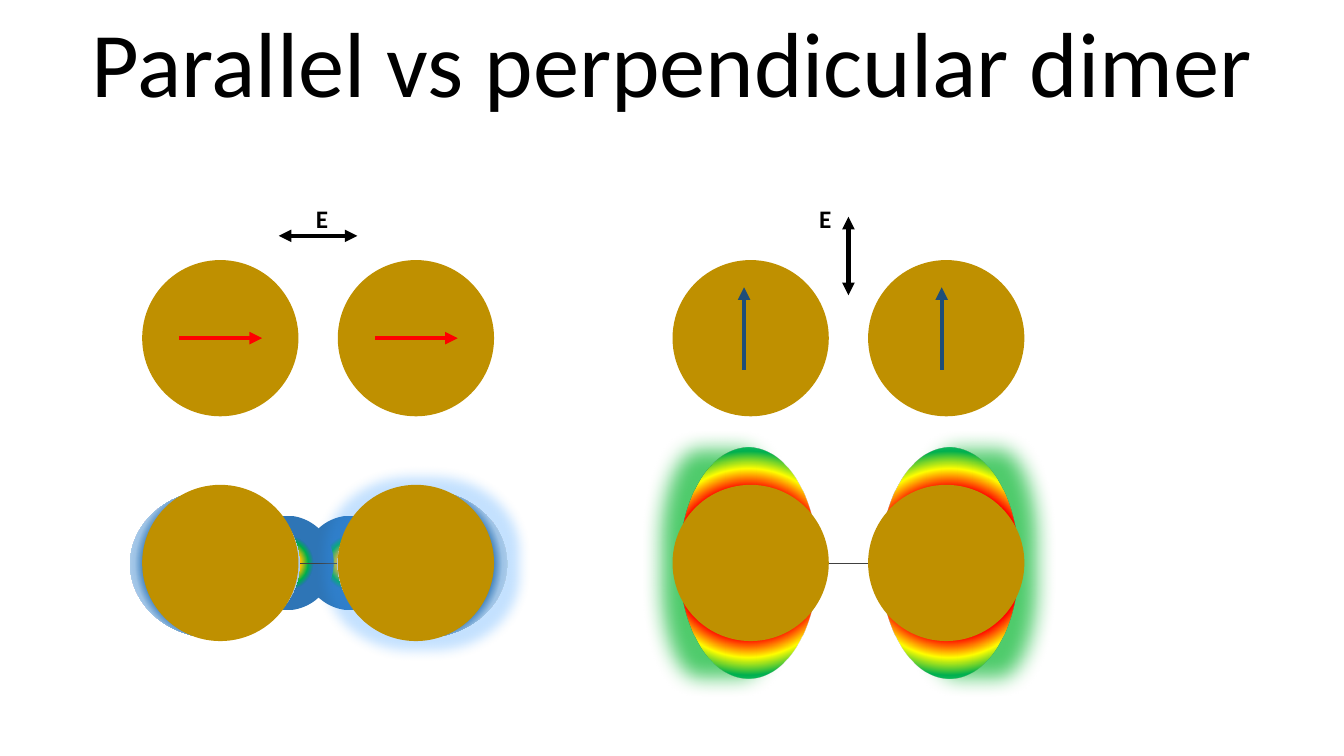
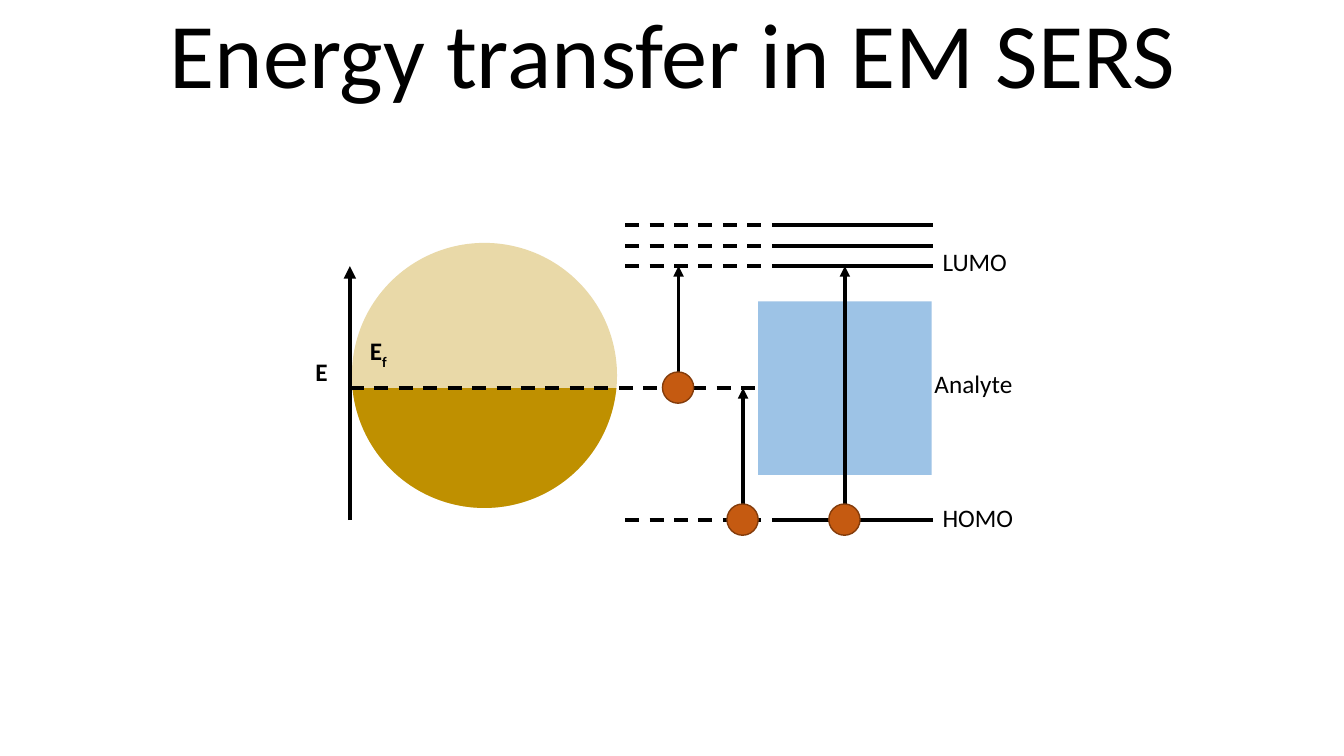
import pptx
import pptx.util
import pptx.dml.color
import pptx.enum.dml
import pptx.enum.shapes
import pptx.enum.text
import pptx.oxml
import pptx.oxml.ns
import lxml.etree
import math

Inches, Pt = pptx.util.Inches, pptx.util.Pt
SHAPE = pptx.enum.shapes.MSO_SHAPE
FONT = "Calibri"
BLACK, GOLD, RED, NAVY, THIN = "000000", "BF9000", "FF0000", "1F4E79", "404040"
SKY, STEEL, ELECTRON, ELECTRON_EDGE = "9DC3E6", "5B9BD5", "C55A11", "843C0B"

# Radial gradients: (position %, colour, opacity %)
LOBE = [(56, "FF0000", 100), (70, "FFFF00", 100), (83, "00B050", 100), (100, "00D15F", 56)]
BRIDGE = [(0, "FF0000", 100), (22, "FFC000", 100), (33, "00B050", 100),
          (35, "0CA16A", 100), (41, "2E75B6", 100)]
HALO = [(2, "0070C0", 100), (27, "0070C0", 100), (61, "2E75B6", 100),
        (71, SKY, 100), (100, "F7FAFD", 100)]
# Glows: (radius in points, colour, opacity %)
GREEN_GLOW = (30, "00B52B", 69)
BLUE_GLOW = (17, "3399FF", 29)

BALL = 1.55     # particle diameter
PITCH = 1.94    # distance between the two particles of a dimer


def rgb(code):
    return pptx.dml.color.RGBColor.from_string(code)


def add_xml(parent, tag, **attributes):
    child = lxml.etree.SubElement(parent, pptx.oxml.ns.qn(tag))
    for key, value in attributes.items():
        child.set(key, str(value))
    return child


def add_color(parent, code, opacity):
    color = add_xml(parent, "a:srgbClr", val=code)
    if opacity < 100:
        add_xml(color, "a:alpha", val=opacity * 1000)


def radial_fill(shape, stops):
    """Replace the solid fill by a gradient running out from the centre."""
    solid = shape.element.spPr.find(pptx.oxml.ns.qn("a:solidFill"))
    gradient = pptx.oxml.parse_xml(
        "<a:gradFill %s rotWithShape='1'/>" % pptx.oxml.ns.nsdecls("a"))
    stop_list = add_xml(gradient, "a:gsLst")
    for position, code, opacity in stops:
        add_color(add_xml(stop_list, "a:gs", pos=position * 1000), code, opacity)
    circle = add_xml(gradient, "a:path", path="circle")
    add_xml(circle, "a:fillToRect", l=50000, t=50000, r=50000, b=50000)
    solid.getparent().replace(solid, gradient)


def solid_shape(slide, kind, x, y, w, h, code, opacity=100, edge=None, glow=None):
    shape = slide.shapes.add_shape(kind, Inches(x), Inches(y), Inches(w), Inches(h))
    shape.shadow.inherit = False
    shape.fill.solid()
    shape.fill.fore_color.rgb = rgb(code)
    if opacity < 100:
        color = shape.element.spPr.find(".//" + pptx.oxml.ns.qn("a:srgbClr"))
        add_xml(color, "a:alpha", val=opacity * 1000)
    if edge:
        shape.line.color.rgb = rgb(edge)
        shape.line.width = Pt(1)
    else:
        shape.line.fill.background()
    if glow:
        radius, glow_code, glow_opacity = glow
        effects = shape.element.spPr.find(pptx.oxml.ns.qn("a:effectLst"))
        add_color(add_xml(effects, "a:glow", rad=Pt(radius)), glow_code, glow_opacity)
    return shape


def ellipse(slide, x, y, w, h, code=GOLD, stops=None, **style):
    shape = solid_shape(slide, SHAPE.OVAL, x, y, w, h, code, **style)
    if stops:
        radial_fill(shape, stops)
    return shape


def line(slide, x1, y1, x2, y2, code=BLACK, width=2.5, dashed=False, head=False, tail=False):
    connector = slide.shapes.add_connector(
        pptx.enum.shapes.MSO_CONNECTOR.STRAIGHT,
        Inches(x1), Inches(y1), Inches(x2), Inches(y2))
    connector.line.color.rgb = rgb(code)
    connector.line.width = Pt(width)
    if dashed:
        connector.line.dash_style = pptx.enum.dml.MSO_LINE.DASH
    stroke = connector.line._get_or_add_ln()
    if head:
        add_xml(stroke, "a:headEnd", type="triangle")
    if tail:
        add_xml(stroke, "a:tailEnd", type="triangle")
    add_xml(connector.element.spPr, "a:effectLst")
    return connector


def label(slide, x, y, w, h, text, bold=False, subscript=""):
    box = slide.shapes.add_textbox(Inches(x), Inches(y), Inches(w), Inches(h))
    frame = box.text_frame
    frame.text = text
    frame.word_wrap = False
    frame.auto_size = pptx.enum.text.MSO_AUTO_SIZE.SHAPE_TO_FIT_TEXT
    paragraph = frame.paragraphs[0]
    if subscript:
        paragraph.add_run().text = subscript
    for run in paragraph.runs:
        run.font.name, run.font.size, run.font.bold = FONT, Pt(18), bold
        run.font.color.rgb = rgb(BLACK)
    if subscript:
        paragraph.runs[-1].font._element.set("baseline", "-25000")


def titled_slide(prs, title, x, y, w):
    slide = prs.slides.add_slide(prs.slide_layouts[5])
    heading = slide.shapes.title
    heading.left, heading.top = Inches(x), Inches(y)
    heading.width, heading.height = Inches(w), Inches(1.21)
    frame = heading.text_frame
    frame.text = title
    frame.word_wrap = False
    frame.auto_size = pptx.enum.text.MSO_AUTO_SIZE.NONE
    font = frame.paragraphs[0].runs[0].font
    font.name, font.size, font.color.rgb = FONT, Pt(66), rgb(BLACK)
    return slide


def parallel_dimer(slide, left, top):
    """Field along the dimer axis; the near field gathers in the gap."""
    axis = left + (PITCH + BALL) / 2
    middle = top + BALL / 2
    line(slide, axis - 0.39, top - 0.24, axis + 0.39, top - 0.24, width=3, head=True, tail=True)
    label(slide, axis - 0.12, top - 0.61, 0.32, 0.4, "E", bold=True)
    for x in (left, left + PITCH):
        ellipse(slide, x, top, BALL, BALL)
        line(slide, x + 0.37, middle, x + 1.19, middle, RED, 3, tail=True)

    # Near field
    field_top = top + 2.23
    middle = field_top + BALL / 2
    for x in (left + 1.6, left + 0.95):
        ellipse(slide, x, middle - 0.47, 0.95, 0.94, stops=BRIDGE)
    line(slide, left + 1.33, middle, left + 2.17, middle, THIN, 0.5)
    for x, halo_shift, glow in ((left + PITCH, 0, BLUE_GLOW), (left, -0.12, None)):
        ellipse(slide, x + halo_shift, field_top + 0.05, 1.68, 1.47, stops=HALO, glow=glow)
        ellipse(slide, x, field_top, BALL, BALL)


def perpendicular_dimer(slide, left, top):
    """Field across the dimer axis; the near field sits above and below."""
    axis = left + (PITCH + BALL) / 2
    line(slide, axis, top - 0.43, axis, top + 0.35, width=3, head=True, tail=True)
    label(slide, axis - 0.39, top - 0.61, 0.32, 0.4, "E", bold=True)
    for x, dipole_x in ((left, 0.71), (left + PITCH, 0.73)):
        ellipse(slide, x, top, BALL, BALL)
        line(slide, x + dipole_x, top + 1.09, x + dipole_x, top + 0.27, NAVY, 3, tail=True)

    # Near field
    field_top = top + 2.23
    middle = field_top + BALL / 2
    line(slide, left + BALL, middle, left + PITCH, middle, THIN, 0.5)
    for x, glow_x, lobe_x in ((left, 0.1, 0.07), (left + PITCH, 0.72, 0.12)):
        ellipse(slide, x + glow_x, middle - 0.92, 0.74, 1.85, STEEL, glow=GREEN_GLOW)
        ellipse(slide, x + lobe_x, middle - 1.14, 1.37, 2.29, stops=LOBE)
        ellipse(slide, x, field_top, BALL, BALL)


def metal_particle(slide, left, top, size, fermi):
    """Pale disc, filled solid up to the Fermi level."""
    ellipse(slide, left, top, size, size, opacity=34)
    radius = size / 2
    angle = math.degrees(math.asin((fermi - top - radius) / radius))
    filled = solid_shape(slide, SHAPE.CHORD, left, top, size, size, GOLD)
    # Angles are stored as 1/60000 degree, adjustments as 1/100000
    filled.adjustments[0] = angle * 0.6
    filled.adjustments[1] = (180 - angle) * 0.6


def energy_diagram(slide, left, top):
    """Energy axis, metal particle and molecular levels."""
    lumo, fermi, homo = top + 0.41, top + 1.62, top + 2.93
    levels, molecule = left + 2.73, left + 4.05
    right = left + 5.78
    metal_particle(slide, left + 0.02, top + 0.18, 2.63, fermi)
    analyte = solid_shape(slide, SHAPE.RECTANGLE, molecule, fermi - 0.86, 1.72, 1.72, SKY)

    # Energy axis and Fermi level
    line(slide, left, homo, left, lumo, width=3, tail=True)
    label(slide, left - 0.44, top + 1.26, 0.38, 0.47, "E", bold=True)
    fermi_line = line(slide, left, fermi, molecule, fermi, dashed=True)
    fermi_line.end_connect(analyte, 1)
    label(slide, left + 0.1, top + 1.05, 0.43, 0.47, "E", bold=True, subscript="f")

    # Molecular levels, broadened towards the metal
    for y in (homo, lumo, lumo - 0.2, lumo - 0.41):
        line(slide, levels, y, levels + 1.54, y, dashed=True)
        line(slide, levels + 1.5, y, right, y)

    # Electrons and their transitions
    for x, start, end in ((left + 3.26, fermi, lumo), (left + 3.9, homo, fermi),
                          (left + 4.91, homo, lumo)):
        line(slide, x, start, x, end, tail=True)
        ellipse(slide, x - 0.16, start - 0.16, 0.31, 0.31, ELECTRON, edge=ELECTRON_EDGE)

    for x, y, w, text in ((right, homo - 0.23, 1.06, "HOMO"),
                          (right, lumo - 0.25, 1.06, "LUMO"),
                          (right - 0.08, fermi - 0.25, 1.14, "Analyte")):
        label(slide, x, y, w, 0.47, text)


def main():
    prs = pptx.Presentation()
    prs.slide_width, prs.slide_height = Inches(13.33), Inches(7.5)

    dimers = titled_slide(prs, "Parallel vs perpendicular dimer", 0.75, 0, 11.83)
    parallel_dimer(dimers, 1.41, 2.58)
    perpendicular_dimer(dimers, 6.67, 2.58)

    transfer = titled_slide(prs, "Energy transfer in EM SERS", 1.53, -0.09, 10.28)
    energy_diagram(transfer, 3.47, 2.23)

    prs.save("out.pptx")


if __name__ == "__main__":
    main()
